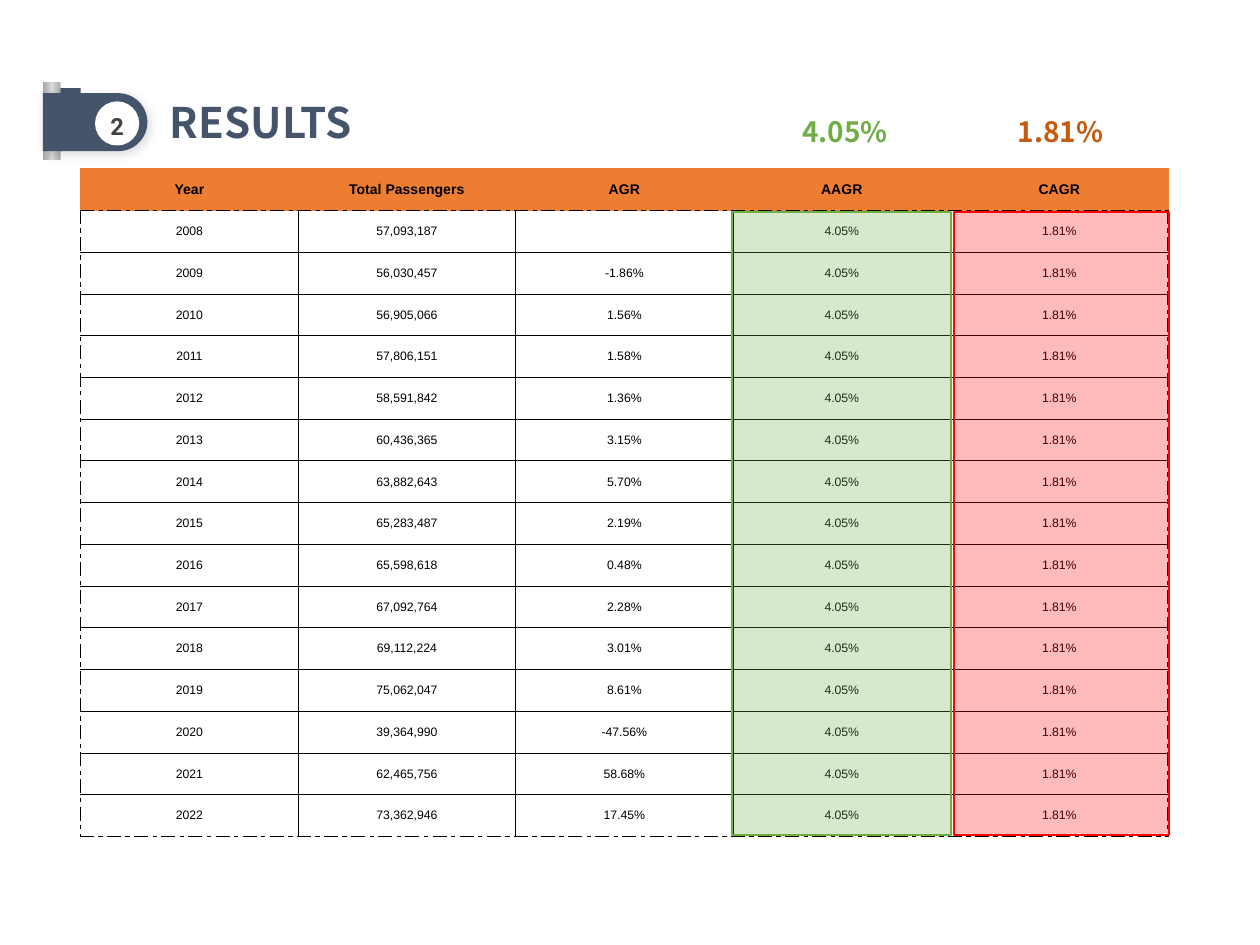
import math

from pptx import Presentation, util as u
from pptx.dml.color import RGBColor
from pptx.enum import shapes, text
from pptx.oxml import parse_xml
from pptx.oxml.ns import nsdecls, qn

SLATE, ORANGE, GREEN, RED, BLACK = "44546A", "ED7D31", "70AD47", "FF0000", "000000"
AAGR, CAGR = "4.05%", "1.81%"
HEADINGS = ["Year", "Total Passengers", "AGR", "AAGR", "CAGR"]
RESULTS = [
    ("57,093,187", ""), ("56,030,457", "-1.86%"), ("56,905,066", "1.56%"),
    ("57,806,151", "1.58%"), ("58,591,842", "1.36%"), ("60,436,365", "3.15%"),
    ("63,882,643", "5.70%"), ("65,283,487", "2.19%"), ("65,598,618", "0.48%"),
    ("67,092,764", "2.28%"), ("69,112,224", "3.01%"), ("75,062,047", "8.61%"),
    ("39,364,990", "-47.56%"), ("62,465,756", "58.68%"), ("73,362,946", "17.45%"),
]


def rgb(color):
    return RGBColor.from_string(color)


def set_font(paragraph, name, size, color, bold):
    paragraph.font.name = name
    paragraph.font.size = u.Pt(size)
    paragraph.font.color.rgb = rgb(color)
    paragraph.font.bold = bold


prs = Presentation()
prs.slide_width, prs.slide_height = u.Inches(10), u.Inches(7.5)
slide = prs.slides.add_slide(prs.slide_layouts[6])

# Title and the two headline rates
for label, left, top, width, height, size, color in [
    ("RESULTS", 1.25, 0.78, 4.19, 0.42, 24, SLATE),
    (AAGR, 6.27, 0.86, 0.89, 0.37, 16, GREEN),
    (CAGR, 7.98, 0.86, 0.89, 0.37, 16, "C55A11"),
]:
    is_title = label == "RESULTS"
    box = slide.shapes.add_textbox(
        u.Inches(left), u.Inches(top), u.Inches(width), u.Inches(height))
    frame = box.text_frame
    frame.word_wrap = is_title
    frame.text = label
    if is_title:
        frame.vertical_anchor = text.MSO_ANCHOR.MIDDLE
        frame.paragraphs[0].line_spacing = 0.9
    set_font(frame.paragraphs[0], "Noto Sans CJK SC", size, color, True)

# Section badge: small tab, metal bar, then the numbered tag over them
# Each outline is a straight edge closed by a half circle.
badge_parts = []
for edge, center_x, center_y, radius, side in [
    (0.64, 0.38, 0.74, 0.04, -1),
    (0.34, 0.94, 0.97, 0.23, 1),
]:
    arc = [(center_x + side * radius * math.cos(math.radians(angle)),
            center_y + radius * math.sin(math.radians(angle)))
           for angle in range(-90, 91, 5)]
    outline = slide.shapes.build_freeform(
        u.Inches(edge), u.Inches(center_y - radius))
    outline.add_line_segments(
        [(u.Inches(x), u.Inches(y))
         for x, y in arc + [(edge, center_y + radius)]], close=True)
    part = outline.convert_to_shape()
    part.shadow.inherit = False
    part.fill.solid()
    part.fill.fore_color.rgb = rgb(SLATE)
    part.line.fill.background()
    badge_parts.append(part)
    if side == -1:
        bar = slide.shapes.add_shape(
            shapes.MSO_SHAPE.RECTANGLE,
            u.Inches(0.34), u.Inches(0.65), u.Inches(0.14), u.Inches(0.62))

tag_effects = badge_parts[-1].element.spPr.find(qn("a:effectLst"))
tag_effects.append(parse_xml(
    f'<a:outerShdw {nsdecls("a")} blurRad="{u.Pt(6)}" dist="{u.Pt(2)}" '
    'dir="2700000" algn="tl" rotWithShape="0">'
    '<a:srgbClr val="000000"><a:alpha val="15000"/></a:srgbClr></a:outerShdw>'))

bar.shadow.inherit = False
bar.line.fill.background()
bar.fill.gradient()
bar.fill.gradient_angle = 0
for stop, color, position in zip(bar.fill.gradient_stops, ["A7A7A7", "ABABAB"], [0, 1]):
    stop.color.rgb = rgb(color)
    stop.position = position
bar.element.spPr.find(".//" + qn("a:gsLst")).insert(1, parse_xml(
    f'<a:gs {nsdecls("a")} pos="54000"><a:srgbClr val="DBDBDB"/></a:gs>'))

number = slide.shapes.add_shape(
    shapes.MSO_SHAPE.OVAL,
    u.Inches(0.76), u.Inches(0.81), u.Inches(0.34), u.Inches(0.34))
number.shadow.inherit = False
number.fill.solid()
number.fill.fore_color.rgb = rgb("FFFFFF")
number.line.color.rgb = rgb("FFFFFF")
number.line.width = u.Pt(0.75)
frame = number.text_frame
frame.margin_left = frame.margin_right = frame.margin_top = frame.margin_bottom = 0
frame.vertical_anchor = text.MSO_ANCHOR.MIDDLE
frame.text = "2"
frame.paragraphs[0].alignment = text.PP_ALIGN.CENTER
frame.paragraphs[0].line_spacing = 1.2
set_font(frame.paragraphs[0], "Roboto", 13.5, "414141", True)

# Growth table
rows = [HEADINGS] + [
    [str(year), passengers, agr, AAGR, CAGR]
    for year, (passengers, agr) in enumerate(RESULTS, start=2008)]
last_row, last_column = len(rows) - 1, len(HEADINGS) - 1
table = slide.shapes.add_table(
    len(rows), len(HEADINGS),
    u.Inches(0.64), u.Inches(1.34), u.Inches(8.63), u.Inches(5.3)).table
table.first_row = table.horz_banding = False
for column in table.columns:
    column.width = u.Inches(8.63 / len(HEADINGS))
for row in table.rows:
    row.height = u.Inches(5.3 / len(rows))

thin, frame_line, heading_line = (BLACK, 0.5, "solid"), (BLACK, 1, "dashDot"), (ORANGE, 0.5, "solid")
for r, values in enumerate(rows):
    for c, value in enumerate(values):
        cell = table.cell(r, c)
        cell.margin_left = cell.margin_right = cell.margin_top = cell.margin_bottom = 0
        cell.vertical_anchor = text.MSO_ANCHOR.MIDDLE
        cell.text = value
        paragraph = cell.text_frame.paragraphs[0]
        paragraph.alignment = text.PP_ALIGN.CENTER
        set_font(paragraph, "Arial", 7 if r else 8, BLACK, r == 0)
        if r == 0:
            cell.fill.solid()
            cell.fill.fore_color.rgb = rgb(ORANGE)
            borders = {"L": None if c else heading_line,
                       "R": heading_line if c == last_column else None,
                       "T": heading_line, "B": frame_line}
        else:
            cell.fill.background()
            borders = {"L": thin if c else frame_line,
                       "R": frame_line if c == last_column else thin,
                       "T": frame_line if r == 1 else thin,
                       "B": frame_line if r == last_row else thin}
        properties = cell._tc.get_or_add_tcPr()
        for place, (side, border) in enumerate(borders.items()):
            if border:
                color, width, dash = border
                line = (f'w="{u.Pt(width)}"><a:solidFill><a:srgbClr val="{color}"/>'
                        f'</a:solidFill><a:prstDash val="{dash}"/>')
            else:
                line = 'w="0"><a:noFill/>'
            properties.insert(place, parse_xml(
                f'<a:ln{side} {nsdecls("a")} {line}</a:ln{side}>'))

# Translucent highlights over the two average columns
for left, width, color in [(5.81, 1.74, GREEN), (7.57, 1.71, RED)]:
    highlight = slide.shapes.add_shape(
        shapes.MSO_SHAPE.RECTANGLE,
        u.Inches(left), u.Inches(1.68), u.Inches(width), u.Inches(4.95))
    highlight.shadow.inherit = False
    highlight.fill.solid()
    highlight.fill.fore_color.rgb = rgb(color)
    highlight.element.spPr.find(qn("a:solidFill"))[0].append(
        parse_xml(f'<a:alpha {nsdecls("a")} val="27000"/>'))
    highlight.line.color.rgb = rgb(color)
    highlight.line.width = u.Pt(1)

prs.save("out.pptx")
